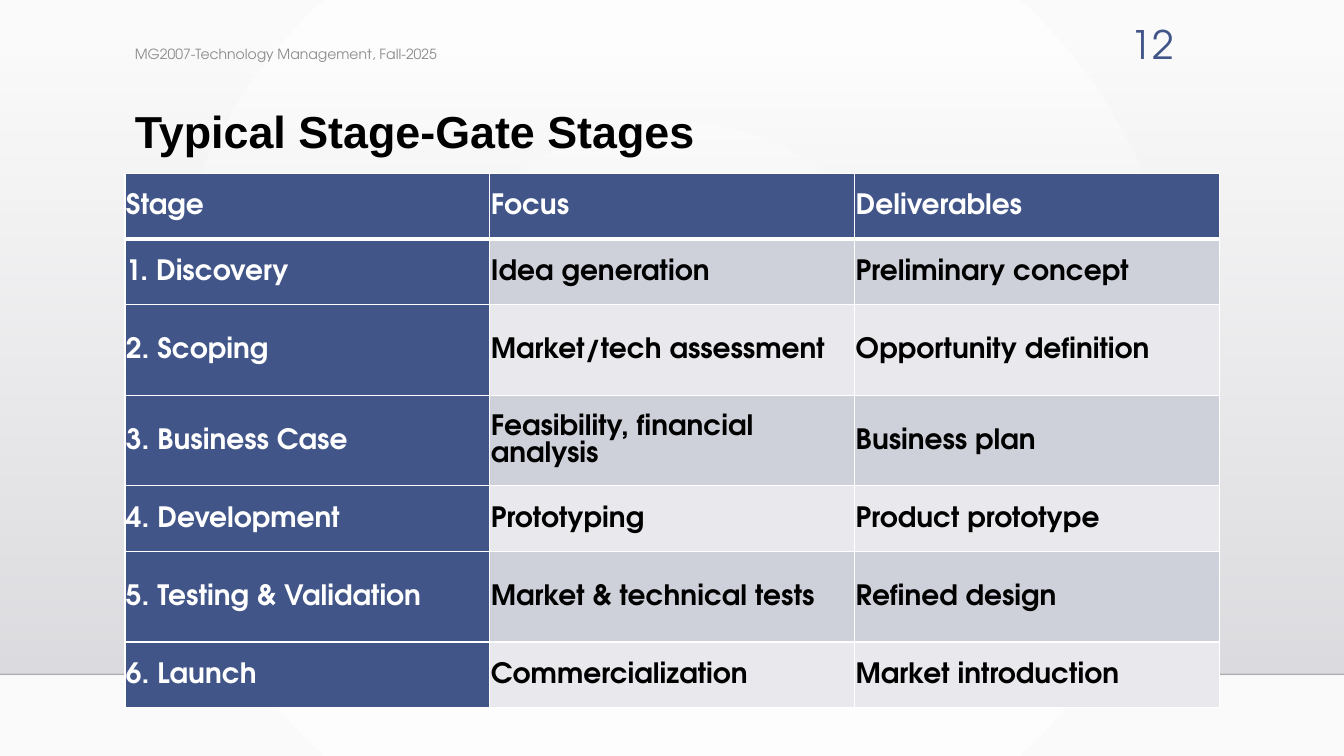
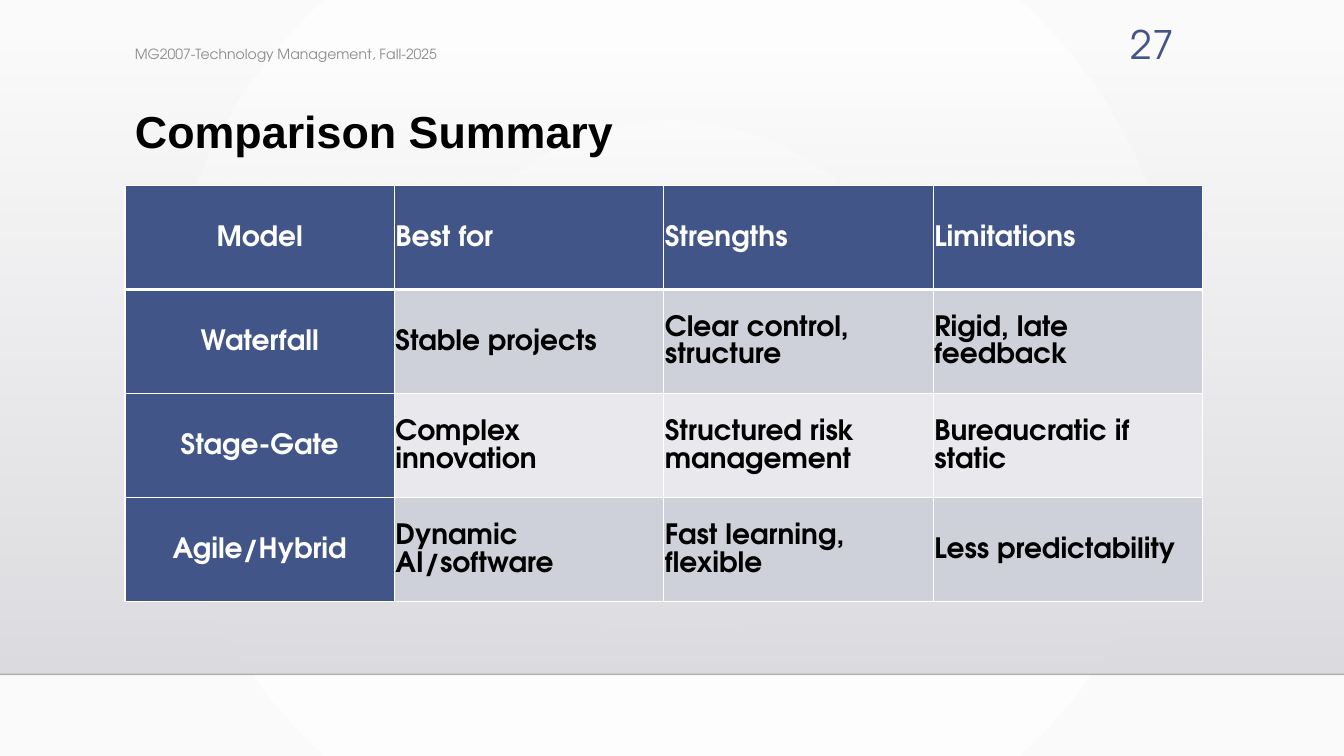
from dataclasses import dataclass

from pptx import Presentation
from pptx.dml.color import RGBColor
from pptx.enum.shapes import MSO_CONNECTOR, MSO_SHAPE
from pptx.enum.text import MSO_ANCHOR, PP_ALIGN
from pptx.oxml import parse_xml
from pptx.oxml.ns import nsdecls, qn
from pptx.util import Emu, Inches, Pt


@dataclass(frozen=True)
class Theme:
    """Colours, fonts and type sizes of the deck."""
    blue: str = "415588"
    white: str = "FFFFFF"
    black: str = "000000"
    grey: str = "8C8C8C"
    edge: str = "FAFAFA"
    bands: tuple = ("CFD1DA", "E9E9ED")
    haze: tuple = ("DCDCE0", "DEDEE2")
    head: str = "Arial"
    body: str = "TeX Gyre Adventor"
    title: int = 32
    page: int = 28
    cell: int = 20
    course: int = 10


T = Theme()
W, H = Inches(13.33), Inches(7.5)
COURSE = "MG2007-Technology Management, Fall-2025"
FLOOR = 89.2
STAGES = [
    ("Stage", "Focus", "Deliverables"),
    ("1. Discovery", "Idea generation", "Preliminary concept"),
    ("2. Scoping", "Market/tech assessment", "Opportunity definition"),
    ("3. Business Case", "Feasibility, financial analysis", "Business plan"),
    ("4. Development", "Prototyping", "Product prototype"),
    ("5. Testing & Validation", "Market & technical tests", "Refined design"),
    ("6. Launch", "Commercialization", "Market introduction"),
]
MODELS = [
    ("Model", "Best for", "Strengths", "Limitations"),
    ("Waterfall", "Stable projects", "Clear control, structure", "Rigid, late feedback"),
    ("Stage-Gate", "Complex innovation", "Structured risk management", "Bureaucratic if static"),
    ("Agile/Hybrid", "Dynamic AI/software", "Fast learning, flexible", "Less predictability"),
]


def place(x, y, w, h):
    """Turn percent shares of the slide into lengths."""
    return [Emu(round(part * size / 100)) for part, size in zip((x, y, w, h), (W, H, W, H))]


def shade(fill, node, first, last, way, alpha=100):
    """Give a fill a two-stop gradient, with the first stop's opacity."""
    fill.gradient()
    old = node.find(".//" + qn("a:gradFill"))
    old.getparent().replace(old, parse_xml(
        f'<a:gradFill {nsdecls("a")} rotWithShape="1"><a:gsLst>'
        f'<a:gs pos="0"><a:srgbClr val="{first}"><a:alpha val="{alpha * 1000}"/></a:srgbClr></a:gs>'
        f'<a:gs pos="100000"><a:srgbClr val="{last}"/></a:gs></a:gsLst>{way}</a:gradFill>'))


def write(para, text, size, color, font=T.body, bold=False):
    """Add one styled run to a paragraph."""
    run = para.add_run()
    run.text = text
    run.font.size, run.font.name, run.font.bold = Pt(size), font, bold
    run.font.color.rgb = RGBColor.from_string(color)


def label(slide, box, text, size, color, anchor=MSO_ANCHOR.TOP,
          align=PP_ALIGN.LEFT, space=1.0, **style):
    """Place a line of text in a box."""
    frame = slide.shapes.add_textbox(*place(*box)).text_frame
    frame.word_wrap, frame.vertical_anchor = True, anchor
    para = frame.paragraphs[0]
    para.alignment, para.line_spacing = align, space
    write(para, text, size, color, **style)


def stage(slide):
    """Draw the fading wall and the floor line."""
    wall = slide.shapes.add_shape(MSO_SHAPE.RECTANGLE, *place(0, 6.8, 100, FLOOR - 6.8))
    wall.shadow.inherit = False
    wall.line.fill.background()
    shade(wall.fill, wall._element, *T.haze, '<a:lin ang="5400000" scaled="0"/>', 0)
    left, top, right, end = place(0, FLOOR, 100, FLOOR)
    line = slide.shapes.add_connector(MSO_CONNECTOR.STRAIGHT, left, top, right, end)
    line.line.width = Pt(1)
    line.line.color.rgb = RGBColor.from_string(T.black)
    tint = line._element.spPr.find(".//" + qn("a:srgbClr"))
    tint.append(parse_xml(f'<a:alpha {nsdecls("a")} val="20000"/>'))
    line._element.spPr.append(parse_xml(f'<a:effectLst {nsdecls("a")}/>'))


def rule(cell, top, bottom):
    """Draw white borders round a cell."""
    for side, width in zip("LRTB", (1, 1, top, bottom)):
        cell._tc.get_or_add_tcPr().append(parse_xml(
            f'<a:ln{side} {nsdecls("a")} w="{Pt(width)}"><a:solidFill>'
            f'<a:srgbClr val="{T.white}"/></a:solidFill></a:ln{side}>'))


def grid(slide, box, rows, shares, lead):
    """Fill a box with a table whose row heights follow the shares."""
    left, top, width, height = place(*box)
    count = len(rows[0])
    table = slide.shapes.add_table(len(rows), count, left, top, width, height).table
    table.horz_banding = False
    for col in table.columns:
        col.width = Emu(width // count)
    for i, (row, share) in enumerate(zip(rows, shares)):
        table.rows[i].height = Emu(height * share // sum(shares))
        for j, text in enumerate(row):
            cell = table.cell(i, j)
            dark = i == 0 or j == 0
            rule(cell, 3 if i == 1 else 1, 3 if i == 0 else 1)
            cell.fill.solid()
            cell.fill.fore_color.rgb = RGBColor.from_string(T.blue if dark else T.bands[(i - 1) % 2])
            cell.margin_left = cell.margin_right = Inches(0.01)
            cell.margin_top = cell.margin_bottom = Inches(0.01)
            cell.vertical_anchor = MSO_ANCHOR.MIDDLE
            para = cell.text_frame.paragraphs[0]
            para.alignment = PP_ALIGN.LEFT if j else lead
            para.line_spacing, para.space_after = 1.07, Pt(8)
            write(para, text, T.cell, T.white if dark else T.black, bold=True)


def page(deck, title, number, box, rows, shares, lead=PP_ALIGN.LEFT):
    """Build a titled slide with one table."""
    slide = deck.slides.add_slide(deck.slide_layouts[6])
    stage(slide)
    label(slide, (9.3, 13.87, 78.75, 12), title, T.title, T.black, space=0.9, font=T.head, bold=True)
    label(slide, (9.3, 4.8, 48.7, 4.53), COURSE, T.course, T.grey, MSO_ANCHOR.MIDDLE)
    label(slide, (81.4, 2, 6.67, 7.33), number, T.page, T.blue, align=PP_ALIGN.RIGHT)
    grid(slide, box, rows, shares, lead)


def main():
    """Build and save the deck."""
    deck = Presentation()
    deck.slide_width, deck.slide_height = W, H
    master = deck.slide_master
    shade(master.background.fill, master._element, T.white, T.edge,
          '<a:path path="circle"><a:fillToRect l="50000" t="50000" r="50000" b="50000"/></a:path>')
    page(deck, "Typical Stage-Gate Stages", "12", (9.3, 22.93, 81.45, 70.67),
         STAGES, (13, 13, 18, 18, 13, 18, 13))
    page(deck, "Comparison Summary", "27", (9.3, 24.53, 80.2, 55.07),
         MODELS, (1, 1, 1, 1), PP_ALIGN.CENTER)
    deck.save("out.pptx")


if __name__ == "__main__":
    main()
